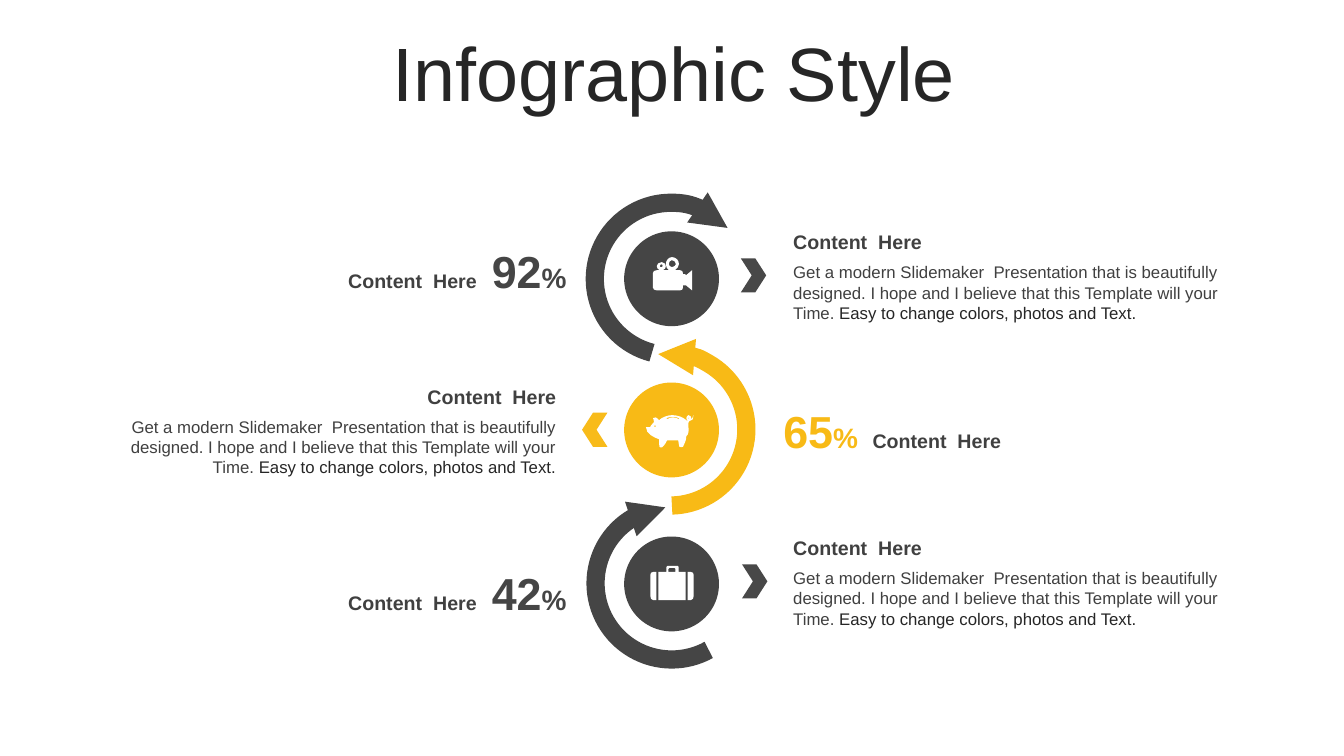
from dataclasses import dataclass

from lxml.etree import Element, SubElement
from pptx import Presentation
from pptx.dml.color import RGBColor
from pptx.enum.shapes import MSO_SHAPE
from pptx.enum.text import MSO_ANCHOR, MSO_AUTO_SIZE, PP_ALIGN
from pptx.oxml.ns import qn
from pptx.util import Cm, Pt

COLORS = {"dark": "454545", "gold": "F8BA16", "text": "404040",
          "ink": "262626", "white": "FFFFFF"}
ICON_UNIT = Cm(0.0254)

CAMERA = """
M 9 7 C 8 7 7 8 7 9 C 7 10 8 10 9 10 C 9 10 10 10 10 9 C 10 8 9 7 9 7
M 19 3 C 17 3 16 5 16 7 C 16 8 17 10 19 10 C 21 10 23 8 23 7 C 23 5 21 3 19 3
M 19 0 C 23 0 26 3 26 7 C 26 9 24 12 22 13 L 27 13 C 29 13 30 14 30 16 L 30 17
L 32 17 C 32 17 33 18 33 18 L 39 13 L 39 33 L 33 28 C 33 28 32 28 32 28 L 30 28
L 30 30 C 30 32 29 33 27 33 L 4 33 C 2 33 0 32 0 30 L 0 16 C 0 14 2 13 4 13
L 7 13 C 5 12 4 11 4 9 C 4 7 6 5 9 5 C 11 5 13 7 13 9 C 13 11 12 12 10 13
L 16 13 C 14 12 13 9 13 7 C 13 3 16 0 19 0"""
PIGGY_BANK = """
M 9 10 C 8 10 8 10 8 11 C 8 12 8 12 9 12 C 10 12 10 12 10 11 C 10 10 10 10 9 10
M 42 2 C 42 2 42 3 42 3 C 42 4 42 4 42 4 C 43 4 43 4 43 3 C 43 3 43 2 42 2
M 27 2 C 24 2 22 2 20 3 L 21 4 C 24 2 29 2 33 4 L 33 3 C 31 2 29 2 27 2
M 26 0 C 31 0 37 2 40 5 L 41 6 C 41 6 41 6 41 5 C 41 5 40 4 40 3
C 40 2 41 1 42 0 C 44 0 45 2 45 3 C 45 4 45 4 44 4 C 45 4 46 4 47 0
C 47 4 46 6 43 6 C 43 7 42 7 42 8 C 42 8 42 8 42 8 L 42 11 C 43 15 42 20 40 21
C 40 26 38 28 37 31 C 37 32 33 32 33 31 C 33 29 32 27 32 25
C 28 25 24 25 21 25 C 20 28 18 30 16 32 L 14 32 C 13 32 13 27 13 24
C 8 22 0 19 0 12 C 0 12 2 12 4 12 C 5 10 6 9 8 7 C 8 5 7 3 7 3
C 11 1 11 4 13 5 C 16 2 22 0 26 0"""
SUITCASE = """
M 37 6 L 40 6 C 42 6 43 7 43 9 L 43 30 C 43 32 42 34 40 34 L 37 34
M 3 6 L 6 6 L 6 34 L 3 34 C 1 34 0 32 0 30 L 0 9 C 0 7 1 6 3 6
M 19 2 C 18 2 18 2 18 3 L 18 6 L 25 6 L 25 3 C 25 2 25 2 24 2
M 17 0 L 26 0 C 27 0 28 0 28 1 L 28 6 L 35 6 L 35 34 L 8 34 L 8 6 L 16 6
L 16 1 C 16 0 16 0 17 0"""

HEADING = "Content  Here"
BODY = ("Get a modern Slidemaker  Presentation that is beautifully designed. "
        "I hope and I believe that this Template will your Time. ")
BODY_END = "Easy to change colors, photos and Text."


@dataclass
class Step:
    """One ring of the chain; tops and lefts are in cm."""
    percent: str
    color: str
    ring_at: tuple
    angles: tuple
    disc_top: float
    text_top: float
    chevron_left: float
    percent_top: float
    icon: str
    icon_at: tuple
    mirrored: bool = False


STEPS = [
    Step("92", "dark", (14.99, 5.11), (62.66, 190.79), 5.83, 5.67, 18.67, 6.13,
         CAMERA, (16.45, 6.48)),
    Step("65", "gold", (14.97, 8.9), (54.79, 167.41), 9.64, 9.56, 14.67, 10.17,
         PIGGY_BANK, (16.28, 10.46), mirrored=True),
    Step("42", "dark", (15.01, 12.78), (36.58, 159.12), 13.52, 13.38, 18.7, 14.25,
         SUITCASE, (16.39, 14.26)),
]


def commands(outline):
    """Split an M/L/C outline into (letter, points) pairs."""
    result = []
    for word in outline.split():
        if word.isalpha():
            result.append((word, []))
        else:
            result[-1][1].append(int(word) * ICON_UNIT)
    return [(letter, list(zip(n[::2], n[1::2]))) for letter, n in result]


class Deck:
    font = "Arial"

    def __init__(self):
        self.prs = Presentation()
        self.prs.slide_width, self.prs.slide_height = Cm(33.87), Cm(19.05)
        self.slide = self.prs.slides.add_slide(self.prs.slide_layouts[5])

    def rgb(self, color):
        return RGBColor.from_string(COLORS[color])

    def run(self, p, text, size, color, bold=False):
        r = p.add_run()
        r.text = text
        r.font.name, r.font.size, r.font.bold = self.font, Pt(size), bold
        r.font.color.rgb = self.rgb(color)

    def title(self, text):
        sp = self.slide.shapes.title
        sp.left, sp.top, sp.width, sp.height = Cm(0.9), Cm(0.94), Cm(32.16), Cm(2.01)
        tf = sp.text_frame
        tf.auto_size, tf.vertical_anchor = MSO_AUTO_SIZE.NONE, MSO_ANCHOR.MIDDLE
        p = tf.paragraphs[0]
        p.alignment, p.line_spacing = PP_ALIGN.CENTER, 0.9
        self.run(p, text, 54, "ink")

    def text(self, x, y, w, h, runs, right=False, anchor=MSO_ANCHOR.MIDDLE, inset=True):
        tf = self.slide.shapes.add_textbox(Cm(x), Cm(y), Cm(w), Cm(h)).text_frame
        tf.word_wrap, tf.auto_size = True, MSO_AUTO_SIZE.SHAPE_TO_FIT_TEXT
        tf.vertical_anchor = anchor
        if not inset:
            tf.margin_left = tf.margin_right = tf.margin_top = tf.margin_bottom = 0
        p = tf.paragraphs[0]
        p.alignment = PP_ALIGN.RIGHT if right else PP_ALIGN.LEFT
        for r in runs:
            self.run(p, *r)

    def shape(self, kind, x, y, w, h, flip=False):
        sp = self.slide.shapes.add_shape(kind, Cm(x), Cm(y), Cm(w), Cm(h))
        sp.shadow.inherit = False
        if flip:
            sp._element.spPr.find(qn("a:xfrm")).set("flipH", "1")
        return sp

    def fill(self, sp, color):
        sp.fill.solid()
        sp.fill.fore_color.rgb = self.rgb(color)
        sp.line.fill.background()

    def ring(self, step):
        sp = self.shape(MSO_SHAPE.ARC, *step.ring_at, 3.84, 3.84, step.mirrored)
        sp.adjustments[0], sp.adjustments[1] = step.angles
        sp.fill.background()
        sp.line.color.rgb, sp.line.width = self.rgb(step.color), Pt(13)
        SubElement(sp.line._get_or_add_ln(), qn("a:tailEnd"),
                   type="triangle", w="sm", len="sm")

    def disc(self, step):
        self.fill(self.shape(MSO_SHAPE.OVAL, 15.73, step.disc_top, 2.39, 2.39),
                  step.color)

    def chevron(self, step):
        sp = self.shape(MSO_SHAPE.CHEVRON, step.chevron_left, step.text_top + 0.84,
                        0.64, 0.86, step.mirrored)
        sp.adjustments[0] = 0.43
        self.fill(sp, step.color)
        SubElement(sp._element.spPr.find(".//" + qn("a:srgbClr")), qn("a:alpha"),
                   val="98000")

    def description(self, step):
        x, y, right = 2.84 if step.mirrored else 19.74, step.text_top, step.mirrored
        self.text(x, y, 11.43, 0.86, [(HEADING, 14, "text", True)], right)
        self.text(x, y + 0.81, 11.43, 1.8,
                  [(BODY, 12, "text"), (BODY_END, 12, "ink")], right, MSO_ANCHOR.TOP)

    def percent(self, step):
        x, label_x = (19.74, 21.74) if step.mirrored else (12.27, 6.33)
        right = not step.mirrored
        self.text(x, step.percent_top, 2.01, 1.37,
                  [(step.percent, 32, step.color, True), ("%", 20, step.color, True)],
                  right, inset=False)
        self.text(label_x, step.percent_top + 0.51, 5.94, 0.86,
                  [(HEADING, 14, "text", True)], right)

    def icon(self, step):
        """Draw the outline with straight segments, then join triples into curves."""
        (_, start), *others = commands(step.icon)
        builder = self.slide.shapes.build_freeform(*start[0])
        for letter, points in others:
            if letter == "M":
                builder.add_line_segments([], close=True)
                builder.move_to(*points[0])
            else:
                builder.add_line_segments(points, close=False)
        builder.add_line_segments([], close=True)
        x, y = step.icon_at
        sp = builder.convert_to_shape(Cm(x), Cm(y))
        sp.shadow.inherit = False
        self.fill(sp, "white")
        lines = sp._element.spPr.iter(qn("a:lnTo"))
        segments = iter(list(lines))
        for letter, points in others:
            if letter == "M":
                continue
            group = [next(segments) for _ in points]
            if letter == "C":
                curve = Element(qn("a:cubicBezTo"))
                group[0].addprevious(curve)
                for segment in group:
                    curve.append(segment[0])
                    segment.getparent().remove(segment)


def main():
    deck = Deck()
    deck.title("Infographic Style")
    for step in reversed(STEPS):
        deck.ring(step)
    for draw in (deck.disc, deck.description, deck.chevron, deck.percent, deck.icon):
        for step in STEPS:
            draw(step)
    deck.prs.save("out.pptx")


if __name__ == "__main__":
    main()
